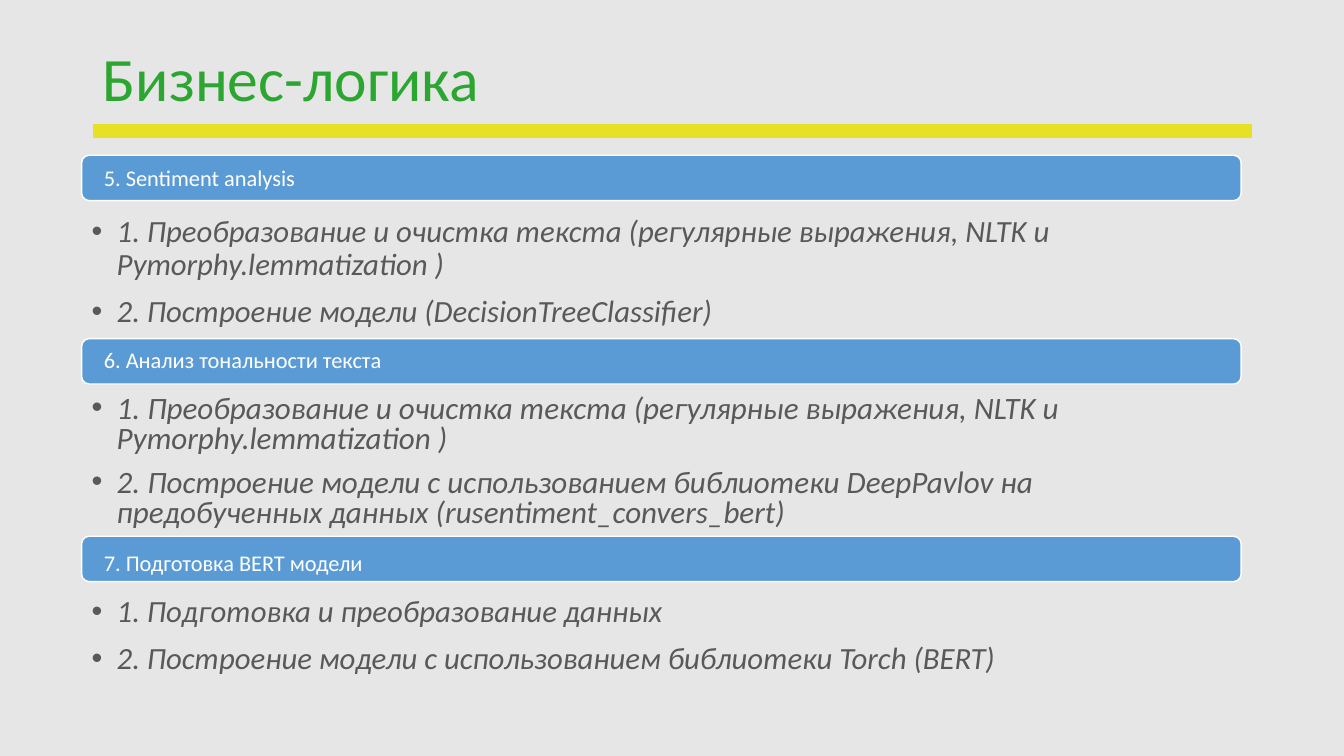
import pptx
import pptx.dml.color
import pptx.enum.shapes
import pptx.enum.text
import pptx.oxml.ns
import pptx.util
from lxml import etree

Inches = pptx.util.Inches
Pt = pptx.util.Pt
RGBColor = pptx.dml.color.RGBColor
Anchor = pptx.enum.text.MSO_ANCHOR
qn = pptx.oxml.ns.qn

BACKGROUND = RGBColor(0xE7, 0xE6, 0xE6)
GREEN = RGBColor(0x2B, 0xA6, 0x30)
YELLOW = RGBColor(0xE7, 0xE1, 0x26)
BLUE = RGBColor(0x5B, 0x9B, 0xD5)
WHITE = RGBColor(0xFF, 0xFF, 0xFF)
GREY = RGBColor(0x59, 0x59, 0x59)

CLEANING = ("1. Преобразование и очистка текста (регулярные выражения, "
            "NLTK и Pymorphy.lemmatization )")

# Heading, bar top, heading top, list top, list size, list line spacing, items
SECTIONS = [
    ("5. Sentiment analysis", 1.54, 1.57, 2.09, 22, 0.9,
     [CLEANING, "2. Построение модели (DecisionTreeClassifier)"]),
    ("6. Анализ тональности текста", 3.36, 3.38, 3.88, 22.2, 0.8,
     [CLEANING,
      "2. Построение модели с использованием библиотеки DeepPavlov "
      "на предобученных данных (rusentiment_convers_bert)"]),
    ("7. Подготовка BERT модели", 5.32, 5.39, 5.86, 22, 0.9,
     ["1. Подготовка и преобразование данных",
      "2. Построение модели с использованием библиотеки Torch (BERT)"]),
]


def write_paragraph(paragraph, text, size, color, italic=False,
                    line_spacing=0.9, space_before=0, bullet=False):
    paragraph.line_spacing = line_spacing
    paragraph.space_before = Pt(space_before)
    if bullet:
        properties = paragraph._p.get_or_add_pPr()
        properties.set("marL", str(Inches(0.25)))
        properties.set("indent", str(-Inches(0.25)))
        etree.SubElement(properties, qn("a:buFont")).set("typeface", "Arial")
        etree.SubElement(properties, qn("a:buChar")).set("char", "•")
    run = paragraph.add_run()
    run.text = text
    run.font.name = "Calibri"
    run.font.size = Pt(size)
    run.font.italic = italic
    run.font.color.rgb = color


class SlideBuilder:
    """Holds the common style and the current slide."""

    left = 0.81
    width = 11.5

    def __init__(self, slide):
        self.slide = slide
        slide.background.fill.solid()
        slide.background.fill.fore_color.rgb = BACKGROUND

    def text(self, lines, left, top, width, height, anchor=Anchor.TOP,
             inset=None, **style):
        shape = self.slide.shapes.add_textbox(
            Inches(left), Inches(top), Inches(width), Inches(height))
        frame = shape.text_frame
        frame.word_wrap = True
        frame.vertical_anchor = anchor
        if inset is not None:
            frame.margin_left = frame.margin_right = Inches(inset)
            frame.margin_top = frame.margin_bottom = Inches(inset)
        for index, line in enumerate(lines):
            paragraph = frame.add_paragraph() if index else frame.paragraphs[0]
            write_paragraph(paragraph, line, **style)

    def rule(self, left, top, width):
        connector = self.slide.shapes.add_connector(
            pptx.enum.shapes.MSO_CONNECTOR.STRAIGHT,
            Inches(left), Inches(top), Inches(left + width), Inches(top))
        connector.line.color.rgb = YELLOW
        connector.line.width = Pt(10)
        etree.SubElement(connector._element.spPr, qn("a:effectLst"))

    def bar(self, top):
        shape = self.slide.shapes.add_shape(
            pptx.enum.shapes.MSO_SHAPE.ROUNDED_RECTANGLE,
            Inches(self.left), Inches(top), Inches(self.width), Inches(0.45))
        shape.shadow.inherit = False
        shape.fill.solid()
        shape.fill.fore_color.rgb = BLUE
        shape.line.color.rgb = WHITE
        shape.line.width = Pt(1)

    def heading(self, text, bar_top, text_top):
        self.bar(bar_top)
        self.text([text], self.left + 0.15, text_top, 11.46, 0.41,
                  anchor=Anchor.MIDDLE, inset=0.07, size=16, color=WHITE)

    def bullets(self, items, top, size, line_spacing):
        self.text(items, self.left, top, self.width, 1.47, size=size,
                  color=GREY, italic=True, line_spacing=line_spacing,
                  space_before=10, bullet=True)


def main():
    presentation = pptx.Presentation()
    presentation.slide_width = Inches(13.33)
    presentation.slide_height = Inches(7.5)
    builder = SlideBuilder(
        presentation.slides.add_slide(presentation.slide_layouts[6]))

    # Title and rule
    builder.rule(0.92, 1.3, builder.width)
    builder.text(["Бизнес-логика"], 0.92, 0.4, builder.width, 0.82,
                 anchor=Anchor.MIDDLE, size=44, color=GREEN)

    # Sections: a heading bar above a bulleted list
    for heading, bar_top, text_top, list_top, size, spacing, items in SECTIONS:
        builder.heading(heading, bar_top, text_top)
        builder.bullets(items, list_top, size, spacing)

    presentation.save("out.pptx")


if __name__ == "__main__":
    main()
